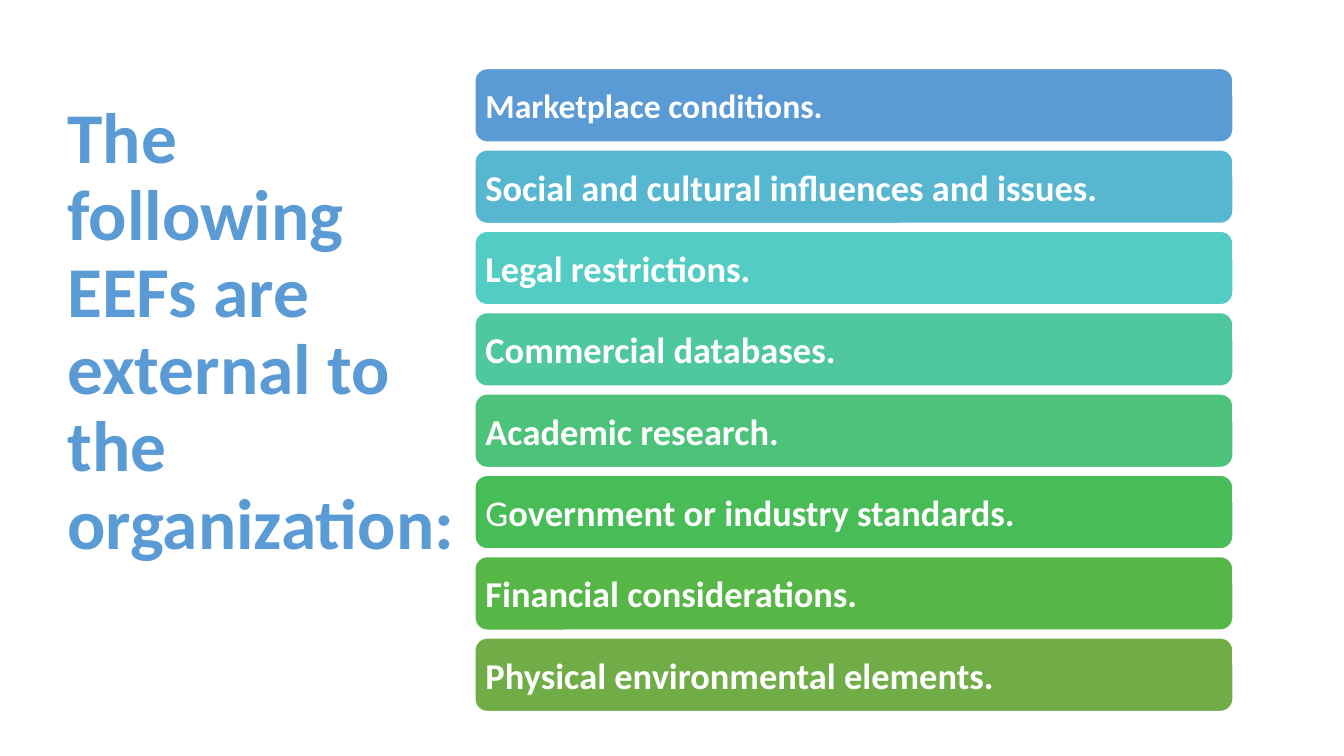
from pptx import Presentation
from pptx.dml.color import RGBColor
from pptx.enum.shapes import MSO_SHAPE
from pptx.enum.text import MSO_ANCHOR, PP_ALIGN
from pptx.util import Inches, Pt

COLORS = {
    "title": "5B9BD5",
    "white": "FFFFFF",
    "blue": "5B9BD5",
    "sky": "57B7D1",
    "turquoise": "53CCC4",
    "mint": "4FC79F",
    "jade": "4CC27B",
    "emerald": "48BD57",
    "green": "56B646",
    "olive": "71AD47",
}

FACTORS = [
    ("blue", 24, [("Marketplace conditions.", True)]),
    ("sky", 26, [("Social and cultural influences and issues.", True)]),
    ("turquoise", 26, [("Legal restrictions.", True)]),
    ("mint", 26, [("Commercial databases.", True)]),
    ("jade", 26, [("Academic research.", True)]),
    ("emerald", 26, [("G", False), ("overnment or industry standards.", True)]),
    ("green", 26, [("Financial considerations.", True)]),
    ("olive", 26, [("Physical environmental elements.", True)]),
]

TOP = 9.07
BAR_LEFT, BAR_WIDTH = 35.33, 56.41
BAR_HEIGHT, BAR_PITCH = 9.73, 10.76


class FactorSlide:
    font_name = "Calibri"
    divisions = 100

    def __init__(self, presentation):
        self.column = presentation.slide_width / self.divisions
        self.row = presentation.slide_height / self.divisions
        self.slide = presentation.slides.add_slide(presentation.slide_layouts[6])

    def color(self, name):
        return RGBColor.from_string(COLORS[name])

    def place(self, left, top, width, height):
        return (
            round(left * self.column),
            round(top * self.row),
            round(width * self.column),
            round(height * self.row),
        )

    def add_runs(self, paragraph, runs, size, color):
        paragraph.alignment = PP_ALIGN.LEFT
        for text, bold in runs:
            run = paragraph.add_run()
            run.text = text
            run.font.name = self.font_name
            run.font.size = Pt(size)
            run.font.bold = bold
            run.font.color.rgb = self.color(color)

    def title(self, text, left, top, width, height):
        shape = self.slide.shapes.add_textbox(*self.place(left, top, width, height))
        frame = shape.text_frame
        frame.word_wrap = True
        frame.vertical_anchor = MSO_ANCHOR.MIDDLE
        frame.margin_bottom = Inches(0.82)
        paragraph = frame.paragraphs[0]
        paragraph.line_spacing = 0.9
        self.add_runs(paragraph, [(text, True)], 51, "title")

    def bar(self, runs, size, fill, left, top, width, height):
        shape = self.slide.shapes.add_shape(
            MSO_SHAPE.ROUNDED_RECTANGLE, *self.place(left, top, width, height)
        )
        shape.shadow.inherit = False
        shape.fill.solid()
        shape.fill.fore_color.rgb = self.color(fill)
        shape.line.color.rgb = self.color("white")
        shape.line.width = Pt(1)
        frame = shape.text_frame
        frame.word_wrap = True
        frame.vertical_anchor = MSO_ANCHOR.MIDDLE
        frame.margin_left = frame.margin_right = Inches(0.07)
        self.add_runs(frame.paragraphs[0], runs, size, "white")


def main():
    presentation = Presentation()
    presentation.slide_width = Inches(13.33)
    presentation.slide_height = Inches(7.5)
    slide = FactorSlide(presentation)
    slide.title(
        "The following EEFs are external to the organization:",
        4.28, TOP, 31.2, 80.27,
    )
    for index, (fill, size, runs) in enumerate(FACTORS):
        top = TOP + index * BAR_PITCH
        slide.bar(runs, size, fill, BAR_LEFT, top, BAR_WIDTH, BAR_HEIGHT)
    presentation.save("out.pptx")


if __name__ == "__main__":
    main()
